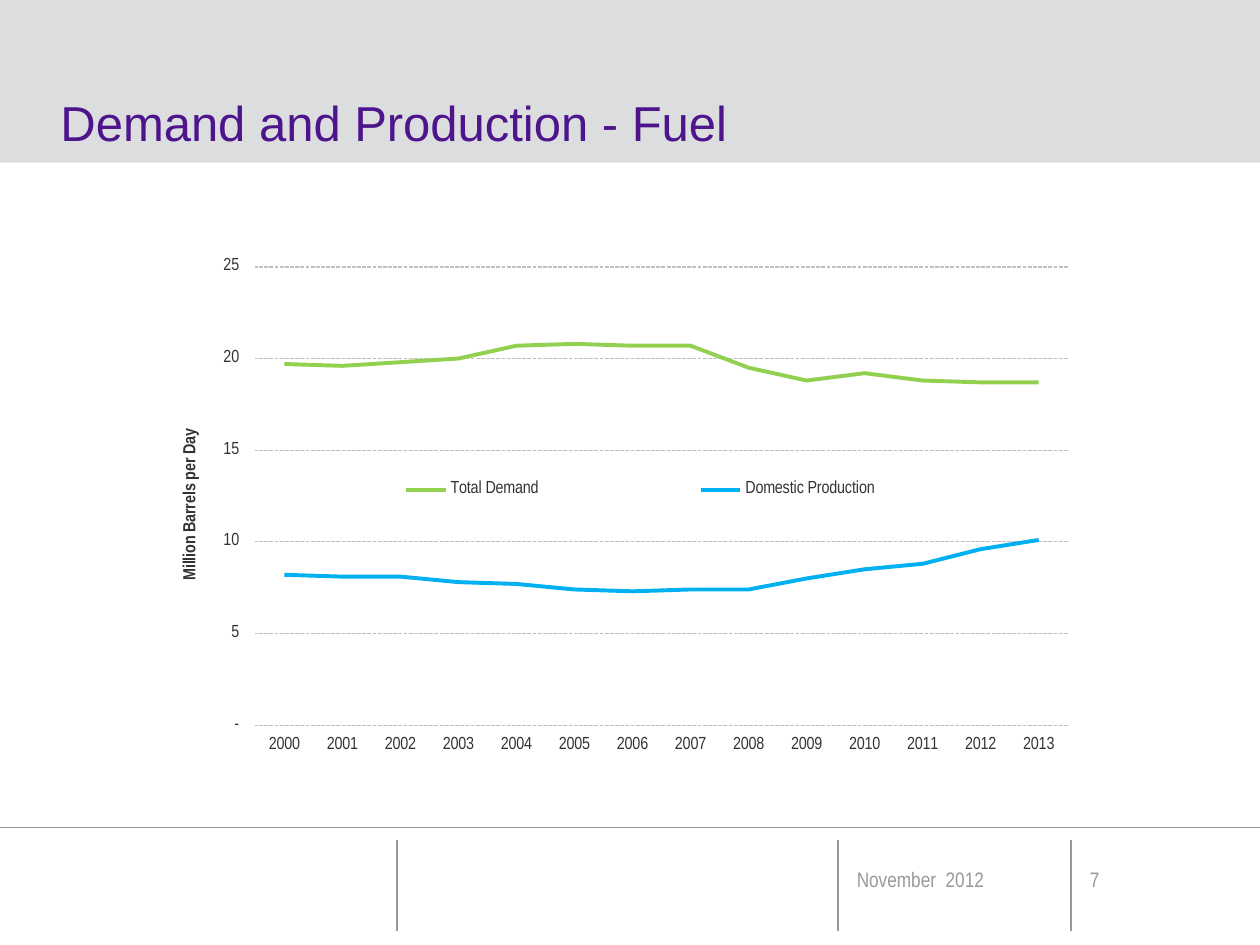
from lxml.etree import SubElement
from pptx import Presentation
from pptx.chart.data import CategoryChartData
from pptx.dml.color import RGBColor
from pptx.enum.chart import XL_CHART_TYPE, XL_LEGEND_POSITION, XL_TICK_MARK
from pptx.enum.dml import MSO_LINE
from pptx.enum.shapes import MSO_CONNECTOR, MSO_SHAPE
from pptx.enum.text import MSO_ANCHOR, PP_ALIGN
from pptx.oxml.ns import qn
from pptx.util import Inches, Pt

COLORS = {name: RGBColor.from_string(value) for name, value in {
    "band": "DCDDDE", "title": "4D148C", "rule": "999999", "grid": "BFBFBF",
    "text": "333333", "demand": "92D050", "production": "00B0F0"}.items()}


def set_font(font, **values):
    font.color.rgb = COLORS[values.pop("color")]
    for name, value in values.items():
        setattr(font, name, value)


def set_layout(parent, index, **shares):
    for old_layout in parent.findall(qn("c:layout")):
        parent.remove(old_layout)
    layout = SubElement(parent, qn("c:layout"))
    parent.insert(index, layout)
    manual = SubElement(layout, qn("c:manualLayout"))
    for name, value in shares.items():
        SubElement(manual, qn(f"c:{name}")).set("val", str(value))


presentation = Presentation()
presentation.slide_width, presentation.slide_height = Inches(10), Inches(7.5)
slide = presentation.slides.add_slide(presentation.slide_layouts[5])
shapes = slide.shapes

# Header band and title
band = shapes.add_shape(MSO_SHAPE.RECTANGLE, 0, Inches(-0.03), Inches(10), Inches(1.32))
band.shadow.inherit = False
band.fill.solid()
band.fill.fore_color.rgb = COLORS["band"]
band.line.fill.background()
shapes._spTree.insert(2, band._element)

title = shapes.title
for name, value in {"left": 0.38, "top": 0.25, "width": 9.25, "height": 1}.items():
    setattr(title, name, Inches(value))
title.text_frame.text = "Demand and Production - Fuel"
title.text_frame.vertical_anchor = MSO_ANCHOR.BOTTOM
title.text_frame.paragraphs[0].alignment = PP_ALIGN.LEFT
set_font(title.text_frame.paragraphs[0].runs[0].font, name="Arial", size=Pt(28), color="title")

# Footer rules and text
rules = [(0, 6.57, 10, 6.57)] + [(x, 6.67, x, 7.39) for x in (3.15, 6.65, 8.5)]
for ends in rules:
    rule = shapes.add_connector(MSO_CONNECTOR.STRAIGHT, *map(Inches, ends))
    rule.line.color.rgb = COLORS["rule"]
    rule.line.width = Pt(0.75)
    SubElement(rule._element.spPr, qn("a:effectLst"))

for left, width, text in [(6.8, 1.53, "November  2012"), (8.65, 0.97, "7")]:
    frame = shapes.add_textbox(Inches(left), Inches(6.88), Inches(width), Inches(0.5)).text_frame
    for name, value in {"word_wrap": True, "margin_left": 0, "margin_right": 0,
                        "margin_top": 0, "margin_bottom": 0, "text": text}.items():
        setattr(frame, name, value)
    set_font(frame.paragraphs[0].runs[0].font, name="Arial Narrow", size=Pt(12), color="rule")

# Line chart
data = CategoryChartData()
data.categories = [str(year) for year in range(2000, 2014)]
data.add_series("Total Demand", [19.7, 19.6, 19.8, 20, 20.7, 20.8, 20.7,
                                 20.7, 19.5, 18.8, 19.2, 18.8, 18.7, 18.7])
data.add_series("Domestic Production", [8.2, 8.1, 8.1, 7.8, 7.7, 7.4, 7.3,
                                        7.4, 7.4, 8, 8.5, 8.8, 9.6, 10.1])
chart = shapes.add_chart(XL_CHART_TYPE.LINE, Inches(0.77), Inches(1.92),
                         Inches(8.06), Inches(4.42), data).chart
chart.has_title = False
chart.plots[0].vary_by_categories = False
set_font(chart.font, name="Arial Narrow", size=Pt(10), color="text")
for series, color in zip(chart.plots[0].series, ("demand", "production")):
    series.smooth = False
    series.format.line.color.rgb = COLORS[color]
    series.format.line.width = Pt(2.25)

value_axis = chart.value_axis
for axis in (chart.category_axis, value_axis):
    axis.format.line.fill.background()
    axis.major_tick_mark = XL_TICK_MARK.OUTSIDE
for name, value in {"minimum_scale": 0, "maximum_scale": 25, "major_unit": 5,
                    "has_major_gridlines": True}.items():
    setattr(value_axis, name, value)
value_axis.tick_labels.number_format = '_(* #,##0_);_(* \\(#,##0\\);_(* "-"_);_(@_)'
value_axis.tick_labels.number_format_is_linked = False
grid_line = value_axis.major_gridlines.format.line
grid_line.color.rgb = COLORS["grid"]
grid_line.width = Pt(0.75)
grid_line.dash_style = MSO_LINE.SQUARE_DOT

axis_title = value_axis.axis_title
axis_title.text_frame.text = "Million Barrels per Day"
set_font(axis_title.text_frame.paragraphs[0].runs[0].font,
         name="Arial Narrow", size=Pt(10), bold=True, color="text")

chart.has_legend = True
legend = chart.legend
legend.position = XL_LEGEND_POSITION.TOP
legend.include_in_layout = False

plot_area = chart._chartSpace.find(".//" + qn("c:plotArea"))
set_layout(plot_area, 0, layoutTarget="inner", xMode="edge", yMode="edge",
           x=0.156, y=0.045, w=0.8, h=0.823)
set_layout(axis_title._element, 1, xMode="edge", yMode="edge", x=0.08, y=0.33)
set_layout(legend._element, 1, xMode="edge", yMode="edge", x=0.15, y=0.41, w=0.77, h=0.07)

presentation.save("out.pptx")
